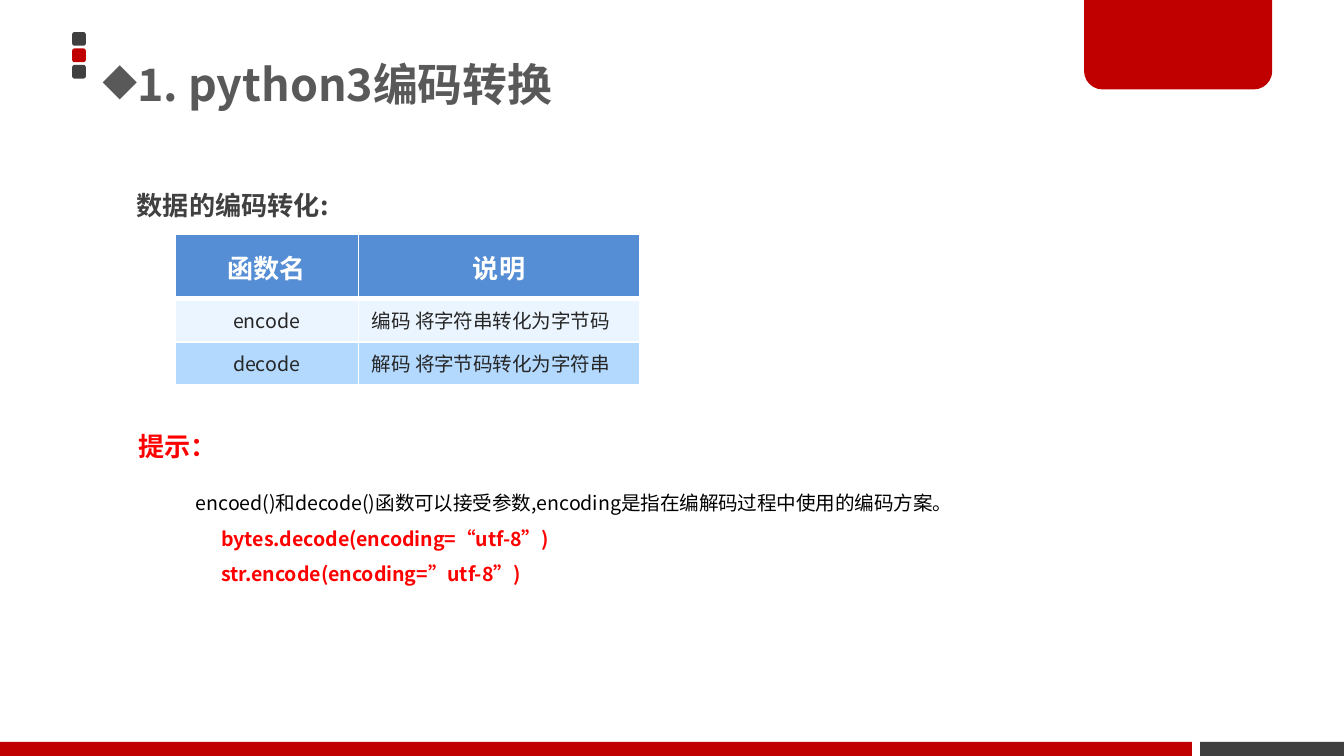
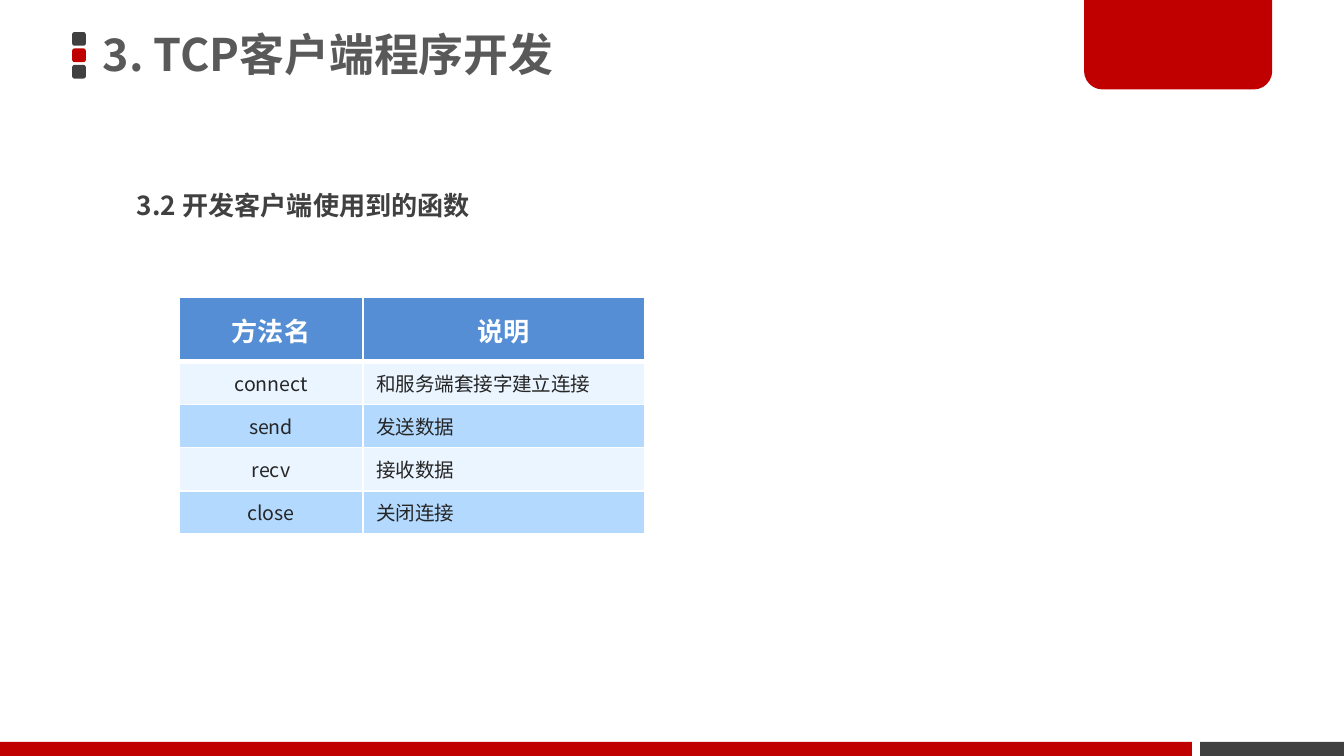
from dataclasses import dataclass

from lxml.etree import SubElement
from pptx import Presentation
from pptx.dml.color import RGBColor
from pptx.enum.shapes import MSO_SHAPE as Shape
from pptx.enum.text import MSO_ANCHOR as Anchor, MSO_AUTO_SIZE as AutoSize, PP_ALIGN as Align
from pptx.oxml.ns import qn
from pptx.util import Pt


@dataclass(frozen=True)
class TextStyle:
    """Size, colour and weight of a piece of text."""
    size: float
    color: str
    bold: bool = False


@dataclass(frozen=True)
class Theme:
    """Colours, font and text styles of the deck."""
    font: str = "Noto Sans CJK SC"
    red: str = "C00000"
    dark: str = "404040"
    white: str = "FFFFFF"
    header_fill: str = "558ED5"
    bands: tuple = ("EBF5FF", "B3D9FF")
    title: TextStyle = TextStyle(24, "595959", True)
    heading: TextStyle = TextStyle(14, "404040", True)
    tip: TextStyle = TextStyle(14, "FF0000", True)
    body: TextStyle = TextStyle(10.5, "000000")
    code: TextStyle = TextStyle(10.5, "FF0000", True)
    table_head: TextStyle = TextStyle(14, "FFFFFF", True)
    table_body: TextStyle = TextStyle(10.5, "262626")


THEME = Theme()
COLUMN_WIDTHS = (98.4, 150.8)
HEADER_HEIGHT, ROW_HEIGHT = 34.5, 23.1
HANGING = 13.6


def points(*values):
    """Convert numbers to point lengths."""
    return [Pt(value) for value in values]


def style_runs(para, style):
    """Format every run of a paragraph, for Latin and East Asian text."""
    for span in para.runs:
        font = span.font
        font.size, font.bold = Pt(style.size), style.bold
        font.color.rgb = RGBColor.from_string(style.color)
        font.name = THEME.font
        SubElement(span._r.get_or_add_rPr(), qn("a:ea"), typeface=THEME.font)


def set_indent(para, margin, first_line):
    """Set the left margin and first line indent of a paragraph."""
    properties = para._p.get_or_add_pPr()
    properties.set("marL", str(Pt(margin)))
    properties.set("indent", str(Pt(first_line)))
    return properties


def add_block(shapes, kind, area, color, corners=()):
    """Add a plain filled shape."""
    block = shapes.add_shape(kind, *points(*area))
    block.shadow.inherit = False
    block.fill.solid()
    block.fill.fore_color.rgb = RGBColor.from_string(color)
    block.line.fill.background()
    for index, corner in enumerate(corners):
        block.adjustments[index] = corner
    return block


def add_frame(layout, page):
    """Draw the shared marks, tab and footer bands and move them to the layout."""
    marks = page.shapes.add_group_shape()
    for index, color in enumerate((THEME.dark, THEME.red, THEME.dark)):
        area = (38.7, 17.2 + 8.8 * index, 7.3, 7.3)
        add_block(marks.shapes, Shape.ROUNDED_RECTANGLE, area, color, (0.167,))
    tab_area, corners = (580.8, -1.5, 100.8, 49.4), (0, 0.2)
    frame = [
        marks,
        add_block(page.shapes, Shape.RECTANGLE, (643, 397.5, 77, 7.5), THEME.dark),
        add_block(page.shapes, Shape.ROUND_2_SAME_RECTANGLE, tab_area, THEME.red, corners),
        add_block(page.shapes, Shape.RECTANGLE, (0, 397.5, 638.6, 7.5), THEME.red),
    ]
    tree = layout.shapes.element
    for item in frame:
        tree.append(item.element)
    for number, node in enumerate(tree.iter(qn("p:cNvPr")), 1):
        node.set("id", str(number))


def set_title(page, text, line_spacing, bullet=None):
    """Place and format the slide title."""
    title = page.shapes.title
    title.left, title.top, title.width, title.height = points(49.7, -1.5, 424, 64)
    frame = title.text_frame
    frame.text = text
    frame.word_wrap, frame.auto_size = True, AutoSize.NONE
    frame.vertical_anchor = Anchor.MIDDLE
    frame.margin_left = frame.margin_right = Pt(5.3)
    frame.margin_top = frame.margin_bottom = Pt(2.7)
    para = frame.paragraphs[0]
    para.alignment, para.line_spacing = Align.LEFT, line_spacing
    properties = set_indent(para, 0, 0)
    if bullet:
        SubElement(properties, qn("a:buChar"), char=bullet)
    style_runs(para, THEME.title)


def add_text(page, area, lines, wrap=True):
    """Add a text box from (text, style, margin, first line indent) lines."""
    box = page.shapes.add_textbox(*points(*area))
    frame = box.text_frame
    frame.text = "\n".join(line[0] for line in lines)
    frame.word_wrap, frame.auto_size = wrap, AutoSize.SHAPE_TO_FIT_TEXT
    for para, (_, style, margin, first_line) in zip(frame.paragraphs, lines):
        para.line_spacing = 1.5
        set_indent(para, margin, first_line)
        style_runs(para, style)


def add_heading(page, text):
    """Add the heading above the table."""
    add_text(page, (66.2, 89.3, 276.5, 32.4), [(text, THEME.heading, 0, 0)])


def set_borders(cell, top, bottom):
    """Draw white borders, one point wide at the sides."""
    properties = cell._tc.get_or_add_tcPr()
    for side, width in (("L", 1), ("R", 1), ("T", top), ("B", bottom)):
        line = SubElement(properties, qn(f"a:ln{side}"), w=str(Pt(width)))
        SubElement(SubElement(line, qn("a:solidFill")), qn("a:srgbClr"), val=THEME.white)


def fill_cell(cell, text, style, color, centred):
    """Write and colour one table cell."""
    cell.text = text
    cell.fill.solid()
    cell.fill.fore_color.rgb = RGBColor.from_string(color)
    para = cell.text_frame.paragraphs[0]
    para.alignment = Align.CENTER if centred else Align.LEFT
    style_runs(para, style)


def add_function_table(page, left, top, rows, has_header=True, first_band=0):
    """Add a banded two-column table, with or without a header row."""
    heights = [ROW_HEIGHT] * len(rows)
    if has_header:
        heights[0] = HEADER_HEIGHT
    area = (left, top, sum(COLUMN_WIDTHS), sum(heights))
    table = page.shapes.add_table(len(rows), len(COLUMN_WIDTHS), *points(*area)).table
    table.first_row = table.horz_banding = False
    for column, width in zip(table.columns, COLUMN_WIDTHS):
        column.width = Pt(width)
    for index, (texts, height) in enumerate(zip(rows, heights)):
        table.rows[index].height = Pt(height)
        is_header = has_header and index == 0
        band = THEME.bands[(index - has_header + first_band) % 2]
        for column, text in enumerate(texts):
            cell = table.cell(index, column)
            set_borders(cell, 3 if has_header and index == 1 else 1, 3 if is_header else 1)
            if is_header:
                fill_cell(cell, text, THEME.table_head, THEME.header_fill, True)
                cell.text_frame.paragraphs[0].line_spacing = Pt(24)
            else:
                fill_cell(cell, text, THEME.table_body, band, column == 0)
                cell.vertical_anchor = Anchor.MIDDLE


def build_encoding_page(page):
    """Fill the slide on encoding and decoding."""
    set_title(page, "1. python3编码转换", 2.0, "◆")
    add_heading(page, "数据的编码转化:")
    add_text(page, (67, 218.9, 56.9, 32.4), [("提示：", THEME.tip, 0, 0)], wrap=False)
    add_text(page, (97.9, 253.4, 544.3, 64.8), [
        ("encoed()和decode()函数可以接受参数,encoding是指在编解码过程中使用的编码方案。",
         THEME.body, HANGING, -HANGING),
        ("bytes.decode(encoding=“utf-8”)", THEME.code, HANGING, 0),
        ("str.encode(encoding=”utf-8”)", THEME.code, HANGING, 0),
    ])
    add_function_table(page, 93.6, 125.6, [
        ("函数名", "说明"),
        ("encode", "编码 将字符串转化为字节码"),
        ("decode", "解码 将字节码转化为字符串"),
    ])


def build_client_page(page):
    """Fill the slide on the TCP client functions."""
    set_title(page, "3. TCP客户端程序开发", 0.9)
    add_heading(page, "3.2 开发客户端使用到的函数")
    add_function_table(page, 96, 159.2, [
        ("方法名", "说明"),
        ("connect", "和服务端套接字建立连接"),
        ("send", "发送数据"),
        ("recv", "接收数据"),
    ])
    add_function_table(page, 96, 263, [("close", "关闭连接")], has_header=False, first_band=1)


def main():
    """Build and save the deck."""
    deck = Presentation()
    deck.slide_width, deck.slide_height = points(720, 405)
    layout = deck.slide_layouts.get_by_name("Title Only")
    pages = [deck.slides.add_slide(layout) for _ in range(2)]
    add_frame(layout, pages[0])
    build_encoding_page(pages[0])
    build_client_page(pages[1])
    deck.save("out.pptx")


if __name__ == "__main__":
    main()
